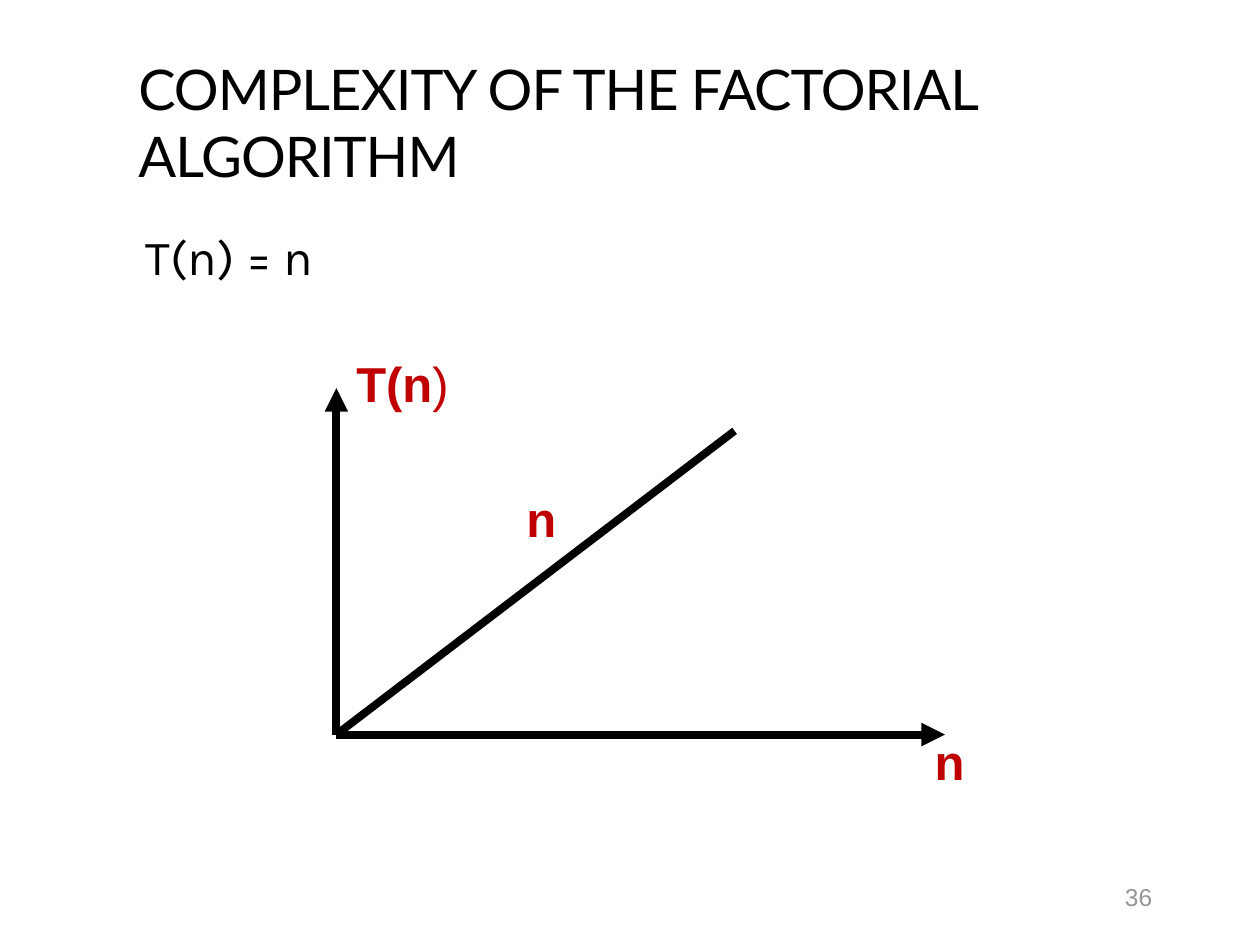
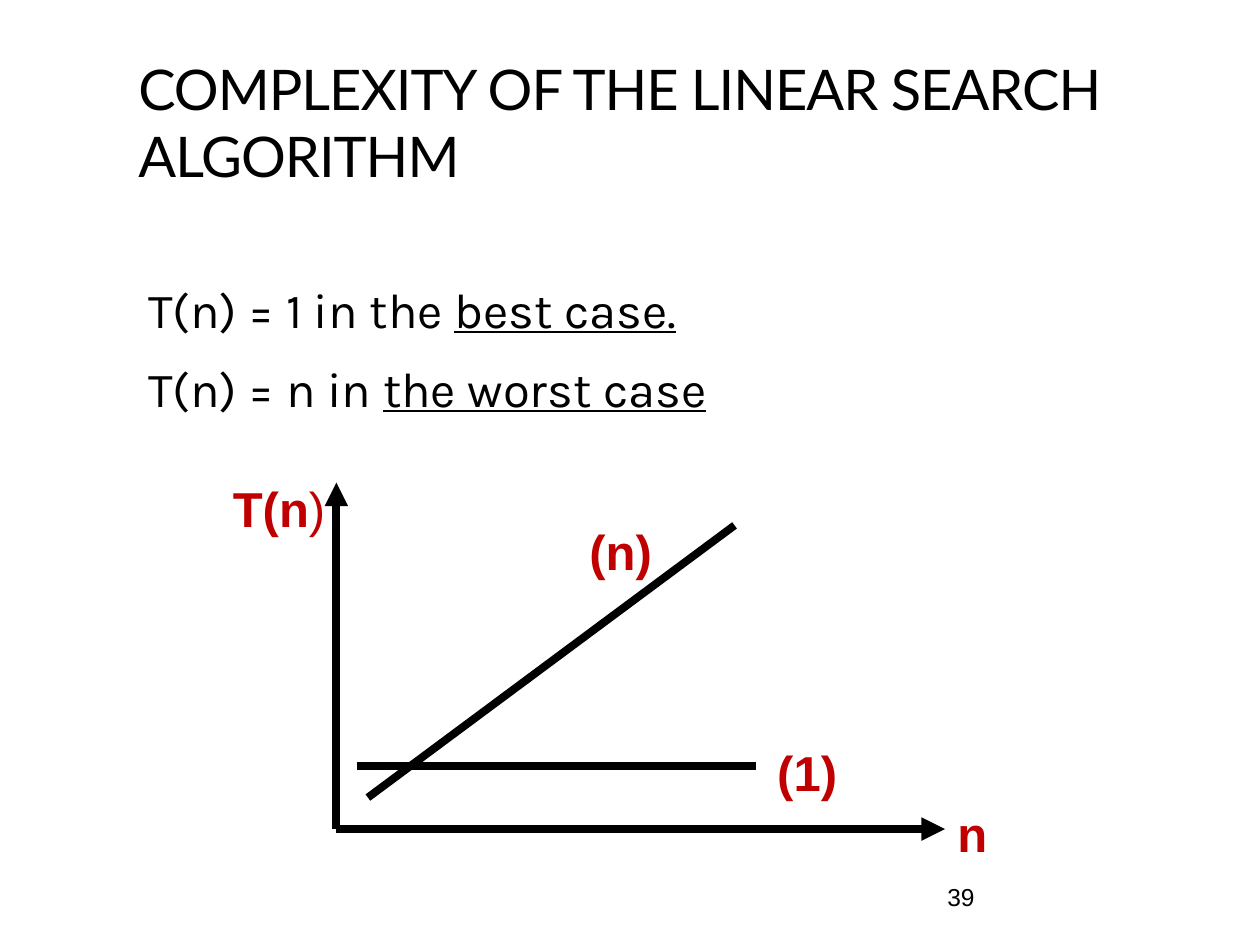
import pptx
import pptx.dml.color
import pptx.enum.shapes
import pptx.enum.text
import pptx.util
import lxml.etree
from pptx.oxml.ns import qn

Inches = pptx.util.Inches
Pt = pptx.util.Pt

COLORS = {"ink": "000000", "label": "C00000", "muted": "969696", "paper": "FFFFFF"}
TITLE_FONT, BODY_FONT, LABEL_FONT = "Lato", "Karla", "Arial"
AXIS_WIDTH, AXIS_HEIGHT = 4.83, 2.75


def rgb(name):
    return pptx.dml.color.RGBColor.from_string(COLORS[name])


def add_box(page, left, top, width, height, wrap=True):
    box = page.shapes.add_textbox(Inches(left), Inches(top), Inches(width), Inches(height))
    box.text_frame.word_wrap = wrap
    return box


def add_span(para, text, font, size, color, bold=False, underline=False):
    span = para.add_run()
    span.text = text
    span.font.name = font
    span.font.size = Pt(size)
    span.font.color.rgb = rgb(color)
    span.font.bold = bold
    span.font.underline = underline
    return span


def add_title(page, text, width):
    frame = add_box(page, 1, 0.19, width, 1.36).text_frame
    frame.vertical_anchor = pptx.enum.text.MSO_ANCHOR.BOTTOM
    span = add_span(frame.paragraphs[0], text, TITLE_FONT, 32, "ink")
    span.font._element.set("spc", "-60")


def add_page_number(page, number, left, color):
    frame = add_box(page, left, 6.95, 0.5, 0.4).text_frame
    add_span(frame.paragraphs[0], str(number), LABEL_FONT, 14, color)


def add_formulas(page, box, formulas):
    """Each formula is a plain part followed by an underlined part."""
    frame = add_box(page, *box).text_frame
    for index, (plain, underlined) in enumerate(formulas):
        para = frame.add_paragraph() if index else frame.paragraphs[0]
        para.space_before = Pt(5.6 if index else 0)
        para.space_after = Pt(6)
        add_span(para, plain, BODY_FONT, 28, "ink")
        if underlined:
            add_span(para, underlined, BODY_FONT, 28, "ink", underline=True)


def add_line(page, start, end, arrow=False):
    line = page.shapes.add_connector(
        pptx.enum.shapes.MSO_CONNECTOR.STRAIGHT,
        *(Inches(value) for value in (*start, *end)))
    line.line.color.rgb = rgb("ink")
    line.line.width = Pt(4.5)
    if arrow:
        lxml.etree.SubElement(line.line._get_or_add_ln(), qn("a:tailEnd"), type="triangle")
    lxml.etree.SubElement(line._element.spPr, qn("a:effectLst"))


def add_label(page, left, top, width, bold_text, plain_text=""):
    frame = add_box(page, left, top, width, 0.57, wrap=False).text_frame
    frame.auto_size = pptx.enum.text.MSO_AUTO_SIZE.SHAPE_TO_FIT_TEXT
    para = frame.paragraphs[0]
    add_span(para, bold_text, LABEL_FONT, 28, "label", bold=True)
    if plain_text:
        add_span(para, plain_text, LABEL_FONT, 28, "label")


def add_graph(page, left, top, curves, labels):
    """Curves and labels are placed from the top left of the axes."""
    def place(point):
        return left + point[0], top + point[1]

    # Axes
    origin = place((0, AXIS_HEIGHT))
    add_line(page, origin, (left, top), arrow=True)
    add_line(page, origin, place((AXIS_WIDTH, AXIS_HEIGHT)), arrow=True)
    # Growth curves
    for start, end in curves:
        add_line(page, place(start), place(end))
    # Axis and curve names
    for point, width, *texts in labels:
        add_label(page, *place(point), width, *texts)


def add_page(deck, title, title_width, number, number_left, number_color):
    page = deck.slides.add_slide(deck.slide_layouts[6])
    page.background.fill.solid()
    page.background.fill.fore_color.rgb = rgb("paper")
    add_page_number(page, number, number_left, number_color)
    add_title(page, title, title_width)
    return page


def build_factorial(deck):
    page = add_page(deck, "COMPLEXITY OF THE FACTORIAL ALGORITHM", 8.03, 36, 8.83, "muted")
    add_formulas(page, (1.06, 1.75, 8.03, 5), [("T(n) = n", "")])
    add_graph(
        page, 2.67, 3.08,
        curves=[((0, AXIS_HEIGHT), (3.16, 0.34))],
        labels=[((0.06, -0.32), 0.95, "T(n", ")"),
                ((4.65, 2.68), 0.44, "n"),
                ((1.41, 0.75), 0.44, "n")])


def build_linear_search(deck):
    page = add_page(deck, "COMPLEXITY OF THE LINEAR SEARCH ALGORITHM", 8.67, 39, 7.42, "ink")
    add_formulas(page, (1.08, 2.17, 8.5, 4.67), [
        ("T(n) = 1 in the ", "best case."),
        ("T(n) = n in ", "the worst case")])
    add_graph(
        page, 2.67, 3.83,
        curves=[((0.25, 2.5), (3.16, 0.34)), ((0.16, 2.25), (3.33, 2.25))],
        labels=[((-0.92, -0.08), 0.95, "T(n", ")"),
                ((4.83, 2.5), 0.44, "n"),
                ((1.91, 0.26), 0.71, "(n)"),
                ((3.4, 2.01), 0.68, "(1)")])


def main():
    deck = pptx.Presentation()
    deck.slide_width, deck.slide_height = Inches(10), Inches(7.5)
    build_factorial(deck)
    build_linear_search(deck)
    deck.save("out.pptx")


if __name__ == "__main__":
    main()
